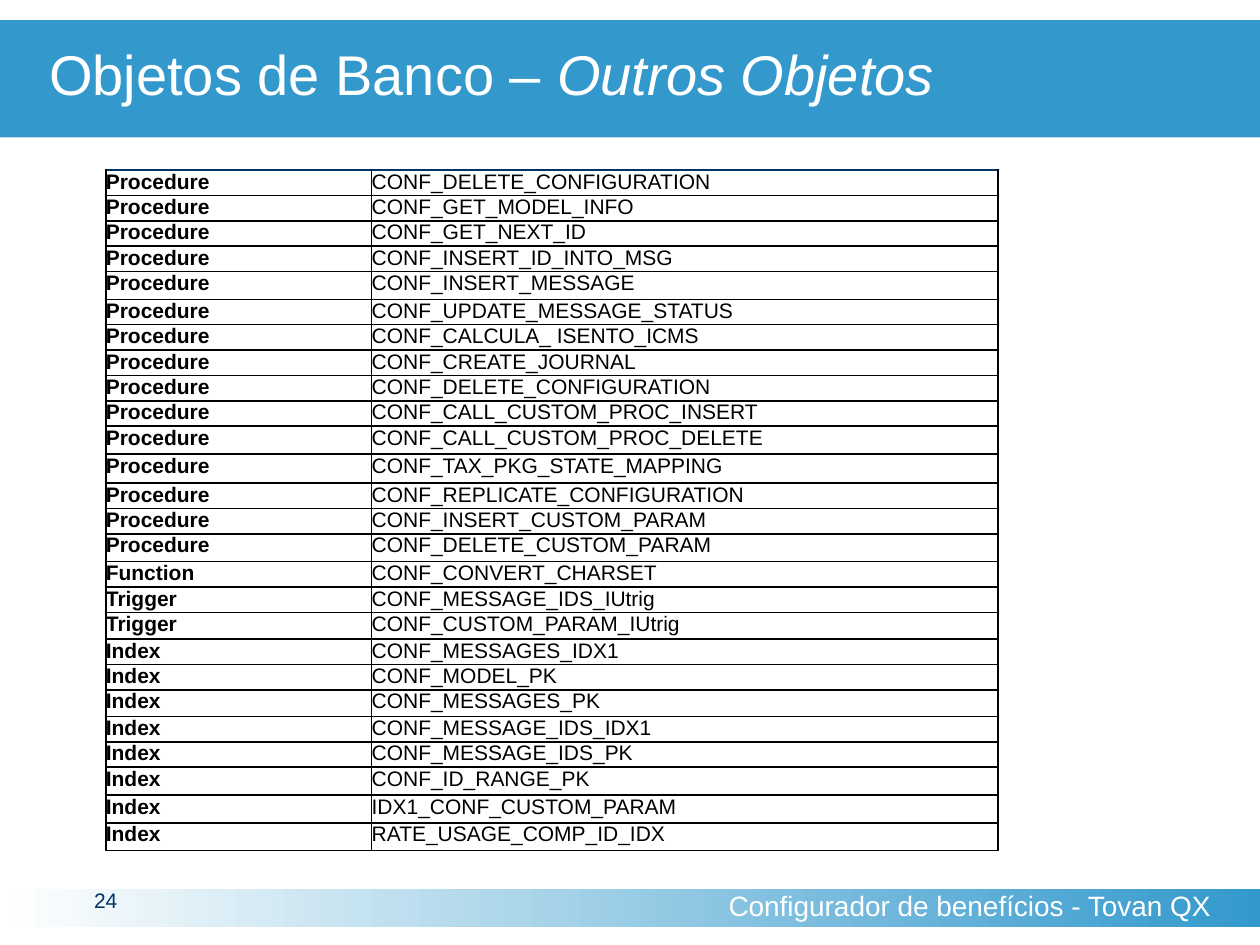
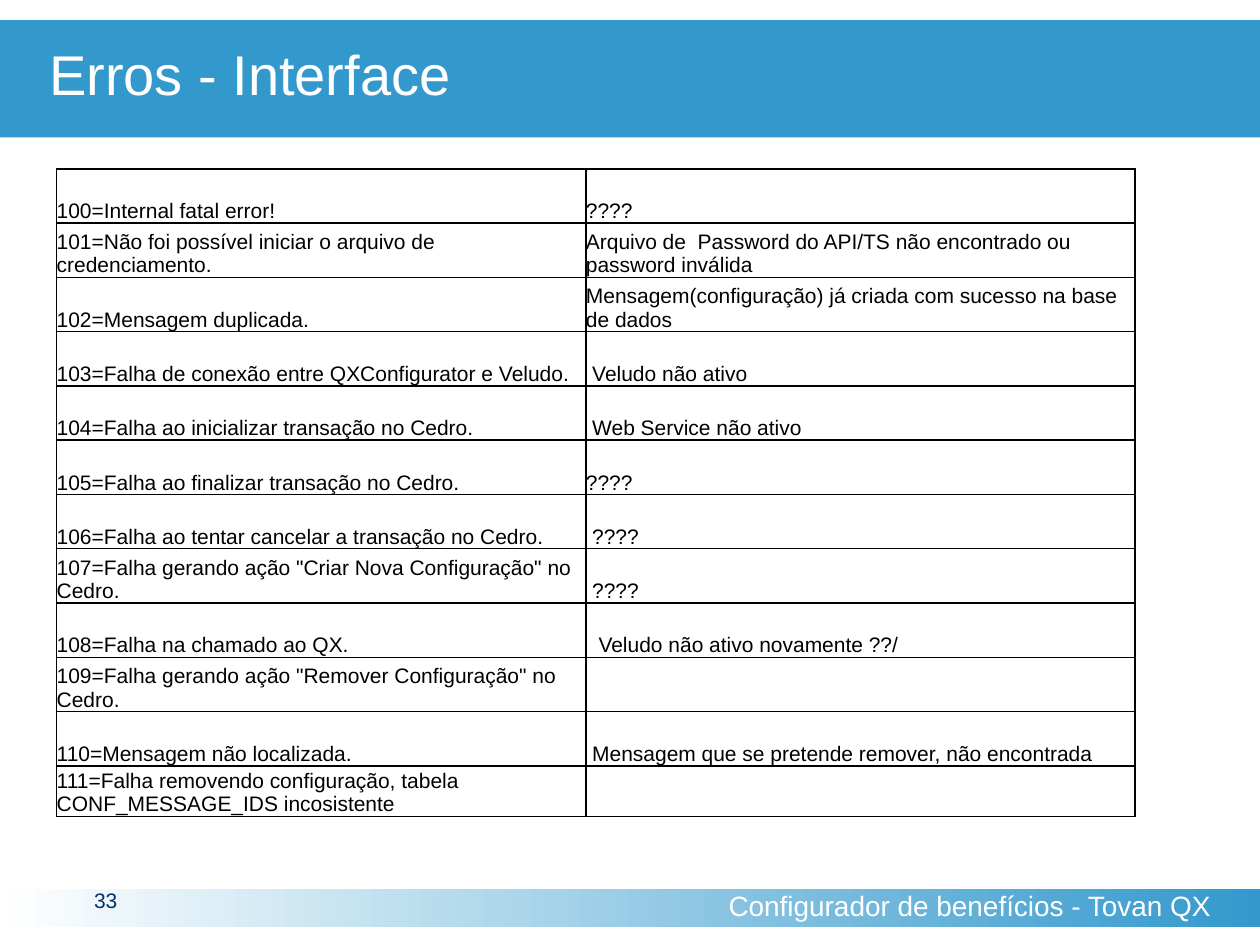
"""Builds two slides of database objects and interface errors."""
from lxml import etree
from pptx import Presentation
from pptx.dml.color import RGBColor
from pptx.enum import shapes, text
from pptx.oxml.ns import qn
from pptx.util import Inches, Pt

HUES = {"band": "3399CC", "navy": "003366", "white": "FFFFFF", "black": "000000"}
FOOT = "Configurador de benefícios - Tovan QX"
KINDS = [
    ("Procedure", """CONF_DELETE_CONFIGURATION
CONF_GET_MODEL_INFO
CONF_GET_NEXT_ID
CONF_INSERT_ID_INTO_MSG
CONF_INSERT_MESSAGE
CONF_UPDATE_MESSAGE_STATUS
CONF_CALCULA_ ISENTO_ICMS
CONF_CREATE_JOURNAL
CONF_DELETE_CONFIGURATION
CONF_CALL_CUSTOM_PROC_INSERT
CONF_CALL_CUSTOM_PROC_DELETE
CONF_TAX_PKG_STATE_MAPPING
CONF_REPLICATE_CONFIGURATION
CONF_INSERT_CUSTOM_PARAM
CONF_DELETE_CUSTOM_PARAM"""),
    ("Function", "CONF_CONVERT_CHARSET"),
    ("Trigger", """CONF_MESSAGE_IDS_IUtrig
CONF_CUSTOM_PARAM_IUtrig"""),
    ("Index", """CONF_MESSAGES_IDX1
CONF_MODEL_PK
CONF_MESSAGES_PK
CONF_MESSAGE_IDS_IDX1
CONF_MESSAGE_IDS_PK
CONF_ID_RANGE_PK
IDX1_CONF_CUSTOM_PARAM
RATE_USAGE_COMP_ID_IDX"""),
]
ITEMS = [(kind, name, 0) for kind, names in KINDS for name in names.split("\n")]
ERRORS = [
    ("100=Internal fatal error!", "????", 0),
    ("101=Não foi possível iniciar o arquivo de credenciamento.",
     "Arquivo de  Password do API/TS não encontrado ou password inválida", 0),
    ("102=Mensagem duplicada.",
     "Mensagem(configuração) já criada com sucesso na base de dados", 0),
    ("103=Falha de conexão entre QXConfigurator e Veludo.", "Veludo não ativo", 1),
    ("104=Falha ao inicializar transação no Cedro.", "Web Service não ativo", 1),
    ("105=Falha ao finalizar transação no Cedro.", "????", 0),
    ("106=Falha ao tentar cancelar a transação no Cedro.", "????", 1),
    ('107=Falha gerando ação "Criar Nova Configuração" no Cedro.', "????", 1),
    ("108=Falha na chamado ao QX.", "Veludo não ativo novamente ??/", 2),
    ('109=Falha gerando ação "Remover Configuração" no Cedro.', "", 0),
    ("110=Mensagem não localizada.",
     "Mensagem que se pretende remover, não encontrada", 1),
    ("111=Falha removendo configuração, tabela CONF_MESSAGE_IDS incosistente", "", 0),
]
TALL = {4: 0.22, 10: 0.22, 11: 0.23, 14: 0.22, 17: 0.21, 20: 0.21,
        23: 0.22, 24: 0.22, 25: 0.22}
PAGES = [
    {"num": "24", "title": ["Objetos de Banco – ", "Outros Objetos"],
     "box": (0.84, 1.35, 7.08, 5.41), "cols": (2.11, 4.97), "rows": ITEMS,
     "highs": [TALL.get(i, 0.2) for i in range(len(ITEMS))],
     "bold": True, "top": "navy", "anchor": text.MSO_ANCHOR.TOP},
    {"num": "33", "title": ["Erros - Interface"],
     "box": (0.45, 1.34, 8.56, 5.11), "cols": (4.2, 4.36), "rows": ERRORS,
     "highs": [0.43] * 11 + [0.37],
     "bold": False, "top": "black", "anchor": text.MSO_ANCHOR.BOTTOM},
]


def style(para, size, hue, align=text.PP_ALIGN.LEFT, space=None):
    para.alignment = align
    para.line_spacing = space
    for run in para.runs:
        run.font.name = "Arial"
        run.font.size = Pt(size)
        run.font.color.rgb = RGBColor.from_string(HUES[hue])


def inset(frame, right=0):
    frame.margin_left = frame.margin_top = frame.margin_bottom = 0
    frame.margin_right = Inches(right)


deck = Presentation()
deck.slide_width, deck.slide_height = Inches(10), Inches(7.5)

for page in PAGES:
    slide = deck.slides.add_slide(deck.slide_layouts[5])

    band = slide.shapes.add_shape(shapes.MSO_SHAPE.RECTANGLE, 0, Inches(7.06),
                                  Inches(10), Inches(0.3))
    band.shadow.inherit = False
    band.line.fill.background()
    band.fill.gradient()
    band.fill.gradient_angle = 0
    for stop, hue, spot in zip(band.fill.gradient_stops, ("white", "band"), (0, 1)):
        stop.color.rgb = RGBColor.from_string(HUES[hue])
        stop.position = spot

    foot = slide.shapes.add_textbox(Inches(5.31), Inches(7.06), Inches(4.69), Inches(0.3))
    inset(foot.text_frame, 0.39)
    foot.text_frame.vertical_anchor = text.MSO_ANCHOR.MIDDLE
    foot.text_frame.text = FOOT
    style(foot.text_frame.paragraphs[0], 16, "white", text.PP_ALIGN.RIGHT, 0.8)

    num = slide.shapes.add_textbox(Inches(0.31), Inches(7.06), Inches(1.06), Inches(0.31))
    inset(num.text_frame)
    num.text_frame.word_wrap = True
    num.text_frame.text = page["num"]
    style(num.text_frame.paragraphs[0], 12, "navy", text.PP_ALIGN.CENTER, Pt(13))

    title = slide.shapes.title
    title.left, title.top, title.width, title.height = 0, Inches(0.16), Inches(10), Inches(0.93)
    title.fill.solid()
    title.fill.fore_color.rgb = RGBColor.from_string(HUES["band"])
    inset(title.text_frame)
    title.text_frame.vertical_anchor = text.MSO_ANCHOR.MIDDLE
    title.text_frame.auto_size = text.MSO_AUTO_SIZE.NONE
    para = title.text_frame.paragraphs[0]
    for part in page["title"]:
        para.add_run().text = part
    style(para, 32, "white", space=0.85)
    para._p.get_or_add_pPr().set("marL", str(Inches(0.39)))
    for run in para.runs[1:]:
        run.font.italic = True

    left, top, width, high = page["box"]
    grid = slide.shapes.add_table(len(page["rows"]), 2, Inches(left), Inches(top),
                                  Inches(width), Inches(high)).table
    grid.first_row = grid.horz_banding = False
    for col, wide in zip(grid.columns, page["cols"]):
        col.width = Inches(wide)
    scale = high / sum(page["highs"])
    for row, tall in zip(grid.rows, page["highs"]):
        row.height = Inches(tall * scale)

    for r, (first, second, gap) in enumerate(page["rows"]):
        for c, words in enumerate((first, second)):
            cell = grid.cell(r, c)
            inset(cell)
            cell.margin_left = Inches(0.05 * gap * c)
            cell.vertical_anchor = page["anchor"]
            cell.text = words
            para = cell.text_frame.paragraphs[0]
            para.font.size = Pt(12)
            style(para, 12, "black")
            for run in para.runs:
                run.font.bold = page["bold"] and c == 0
            props = cell._tc.get_or_add_tcPr()
            for side in ("lnL", "lnR", "lnT", "lnB"):
                hue = page["top"] if r == 0 and side == "lnT" else "black"
                edge = etree.SubElement(props, qn("a:" + side), w=str(Pt(1)))
                fill = etree.SubElement(edge, qn("a:solidFill"))
                etree.SubElement(fill, qn("a:srgbClr"), val=HUES[hue])
            cell.fill.background()

deck.save("out.pptx")
